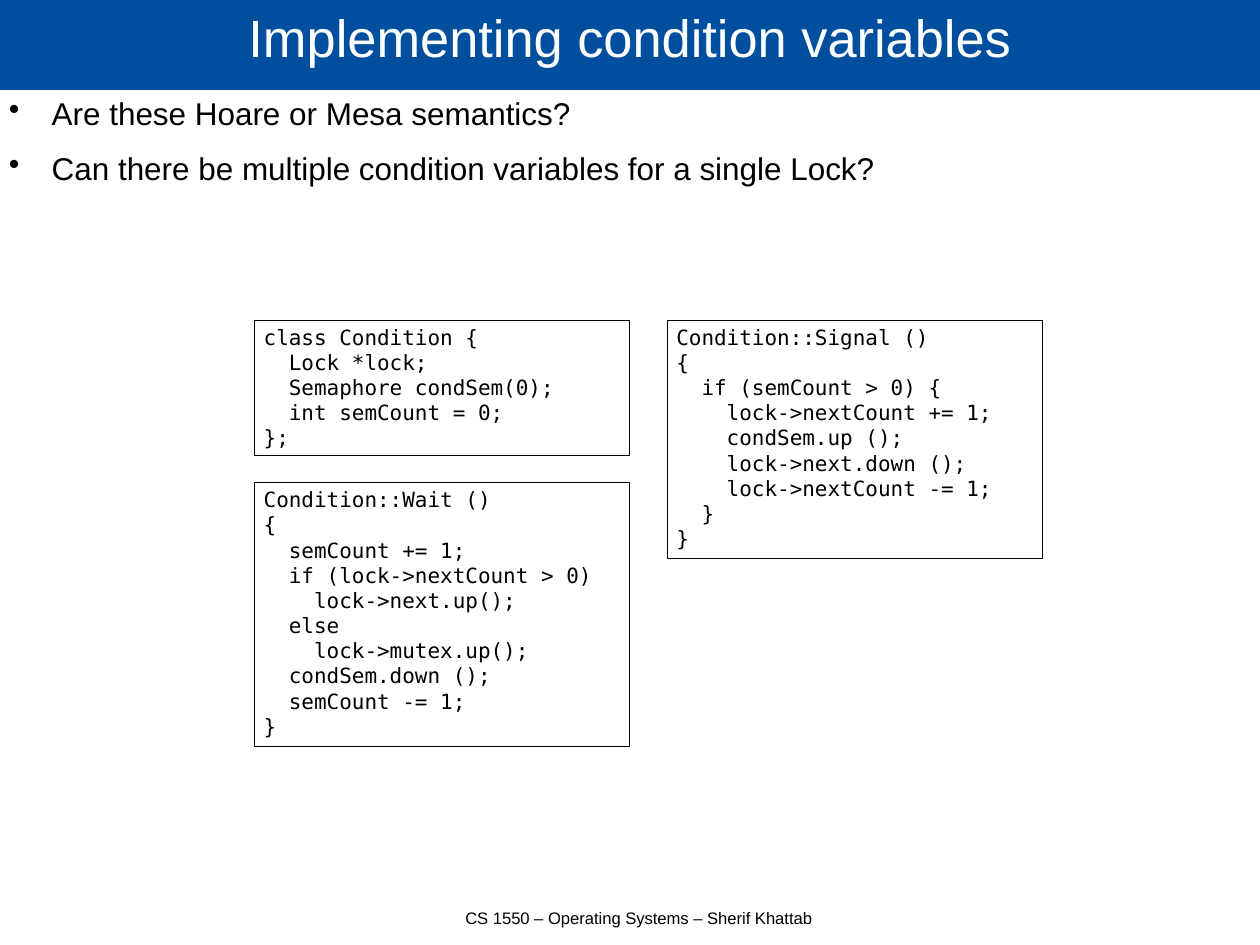
from pptx import Presentation
from pptx.dml.color import RGBColor
from pptx.enum.shapes import MSO_SHAPE
from pptx.enum.text import MSO_ANCHOR, PP_ALIGN
from pptx.oxml.ns import qn
from pptx.util import Cm, Pt
from lxml import etree

BLUE = RGBColor(0x00, 0x4F, 0x9E)
WHITE = RGBColor(0xFF, 0xFF, 0xFF)
BLACK = RGBColor(0x00, 0x00, 0x00)

SLIDE_WIDTH, SLIDE_HEIGHT = 28, 21
TITLE_HEIGHT = 2

# Code box grid, in centimetres
LEFT_COLUMN, RIGHT_COLUMN = 5.66, 14.83
CODE_TOP, CODE_WIDTH, CODE_GAP = 7.11, 8.33, 0.59
CODE_LINE, CODE_PADDING = 0.57, 0.17

QUESTIONS = [
    "Are these Hoare or Mesa semantics?",
    "Can there be multiple condition variables for a single Lock?",
]

CONDITION_CODE = """class Condition {
  Lock *lock;
  Semaphore condSem(0);
  int semCount = 0;
};"""

WAIT_CODE = """Condition::Wait ()
{
  semCount += 1;
  if (lock->nextCount > 0)
    lock->next.up();
  else
    lock->mutex.up();
  condSem.down ();
  semCount -= 1;
}"""

SIGNAL_CODE = """Condition::Signal ()
{
  if (semCount > 0) {
    lock->nextCount += 1;
    condSem.up ();
    lock->next.down ();
    lock->nextCount -= 1;
  }
}"""


def set_text(shape, text, size, color=BLACK, font="Arial",
             align=PP_ALIGN.LEFT, anchor=MSO_ANCHOR.TOP, margins=(0, 0)):
    """Fill a shape with text; margins are (horizontal, vertical) in cm."""
    frame = shape.text_frame
    frame.text = text
    frame.word_wrap = True
    frame.vertical_anchor = anchor
    frame.margin_left = frame.margin_right = Cm(margins[0])
    frame.margin_top = frame.margin_bottom = Cm(margins[1])
    for paragraph in frame.paragraphs:
        paragraph.alignment = align
        for run in paragraph.runs:
            run.font.name = font
            run.font.size = Pt(size)
            run.font.color.rgb = color
    return frame


def add_rectangle(slide, left, top, width, height):
    shape = slide.shapes.add_shape(
        MSO_SHAPE.RECTANGLE, Cm(left), Cm(top), Cm(width), Cm(height))
    shape.shadow.inherit = False
    return shape


def add_title(slide, text):
    band = add_rectangle(slide, 0, 0, SLIDE_WIDTH, TITLE_HEIGHT)
    band.fill.solid()
    band.fill.fore_color.rgb = BLUE
    band.line.fill.background()
    frame = set_text(band, text, 33, WHITE, align=PP_ALIGN.CENTER,
                     anchor=MSO_ANCHOR.MIDDLE)
    frame.paragraphs[0].line_spacing = 0.69


def add_bullets(slide, items):
    box = slide.shapes.add_textbox(
        Cm(0), Cm(TITLE_HEIGHT), Cm(SLIDE_WIDTH), Cm(18.2))
    frame = set_text(box, "\n".join(items), 19.8, margins=(0.2, 0.1))
    for paragraph in frame.paragraphs:
        paragraph.space_after = Pt(10.7)
        properties = paragraph._p.get_or_add_pPr()
        properties.set("marL", str(Cm(0.95)))
        properties.set("indent", str(-Cm(0.95)))
        etree.SubElement(properties, qn("a:buChar")).set("char", "•")


def add_footer(slide, text):
    box = slide.shapes.add_textbox(Cm(7.8), Cm(20.17), Cm(12.8), Cm(0.8))
    set_text(box, text, 10.5, align=PP_ALIGN.CENTER)


def add_code(slide, left, top, code):
    """Draw a code box as tall as its lines and return its bottom edge."""
    height = CODE_LINE * len(code.splitlines()) + CODE_PADDING
    box = add_rectangle(slide, left, top, CODE_WIDTH, height)
    box.fill.background()
    box.line.color.rgb = BLACK
    box.line.width = Pt(0.5)
    set_text(box, code, 13.2, font="DejaVu Sans Mono", margins=(0.2, 0.1))
    return top + height


def main():
    presentation = Presentation()
    presentation.slide_width = Cm(SLIDE_WIDTH)
    presentation.slide_height = Cm(SLIDE_HEIGHT)
    slide = presentation.slides.add_slide(presentation.slide_layouts[6])

    # Heading, questions and footer
    add_title(slide, "Implementing condition variables")
    add_bullets(slide, QUESTIONS)
    add_footer(slide, "CS 1550 – Operating Systems – Sherif Khattab")

    # Code: class and Wait on the left, Signal on the right
    condition_bottom = add_code(slide, LEFT_COLUMN, CODE_TOP, CONDITION_CODE)
    add_code(slide, LEFT_COLUMN, condition_bottom + CODE_GAP, WAIT_CODE)
    add_code(slide, RIGHT_COLUMN, CODE_TOP, SIGNAL_CODE)

    presentation.save("out.pptx")


main()
